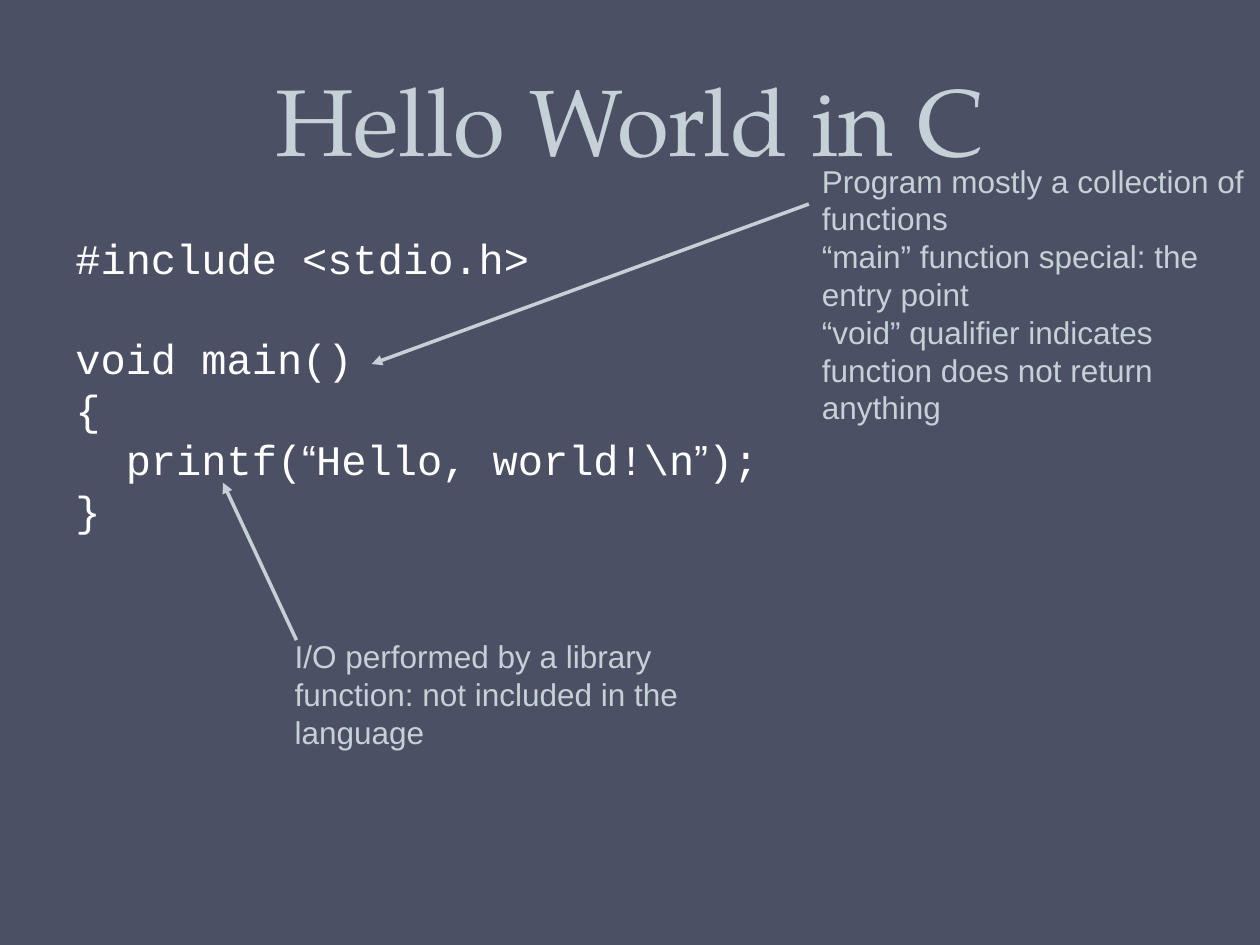
from lxml import etree
from pptx import Presentation
from pptx.dml.color import RGBColor
from pptx.enum import shapes, text
from pptx.oxml.ns import qn
from pptx.util import Pt

PALE = "C5D1D7"
WHITE = "FFFFFF"


def color(value):
    return RGBColor.from_string(value)


def add_text(place, lines, font, size, fill, spacing):
    box = page.shapes.add_textbox(*[Pt(length) for length in place])
    frame = box.text_frame
    frame.word_wrap = True
    for index, line in enumerate(lines):
        para = frame.paragraphs[0] if index == 0 else frame.add_paragraph()
        para.line_spacing = Pt(spacing)
        para.font.name = font
        para.font.size = Pt(size)
        para.font.color.rgb = color(fill)
        for part in line if isinstance(line, list) else [line]:
            span = para.add_run()
            span.text = part
            if part in ("“", "”"):
                span.font.name = "Arial"
    return frame


deck = Presentation()
deck.slide_width = Pt(720)
deck.slide_height = Pt(540)
page = deck.slides.add_slide(deck.slide_layouts[6])
page.background.fill.solid()
page.background.fill.fore_color.rgb = color("4B5064")

title = add_text((36, 0, 648, 100), ["Hello World in C"], "TeX Gyre Pagella", 54, PALE, 58)
title.vertical_anchor = text.MSO_ANCHOR.BOTTOM
title.margin_bottom = 0
title.paragraphs[0].alignment = text.PP_ALIGN.CENTER

code_lines = [
    "#include <stdio.h>",
    "void main()",
    "{",
    ["  printf(", "“", "Hello, world!\\n", "”", ");"],
    "}",
]
code = add_text((36, 126, 648, 356.4), code_lines, "Courier New", 24, WHITE, 28.8)
code.margin_top = Pt(6.6)
code.paragraphs[1].space_before = Pt(28.8)

notes = [
    ((462.6, 88.8, 257.4, 190), [
        "Program mostly a collection of functions",
        "“main” function special: the entry point",
        "“void” qualifier indicates function does not return anything",
    ]),
    ((161.3, 360.7, 270, 74.2), [
        "I/O performed by a library function: not included in the language",
    ]),
]
for place, lines in notes:
    add_text(place, lines, "Arial", 18, PALE, 21.6)

arrows = [(462.2, 116.6, 212.4, 208), (169.4, 365.8, 127.4, 275.8)]
for ends in arrows:
    arrow = page.shapes.add_connector(
        shapes.MSO_CONNECTOR.STRAIGHT, *[Pt(length) for length in ends])
    arrow.line.color.rgb = color(PALE)
    arrow.line.width = Pt(2)
    etree.SubElement(arrow.line._get_or_add_ln(), qn("a:tailEnd"), type="triangle")
    etree.SubElement(arrow._element.spPr, qn("a:effectLst"))

deck.save("out.pptx")
